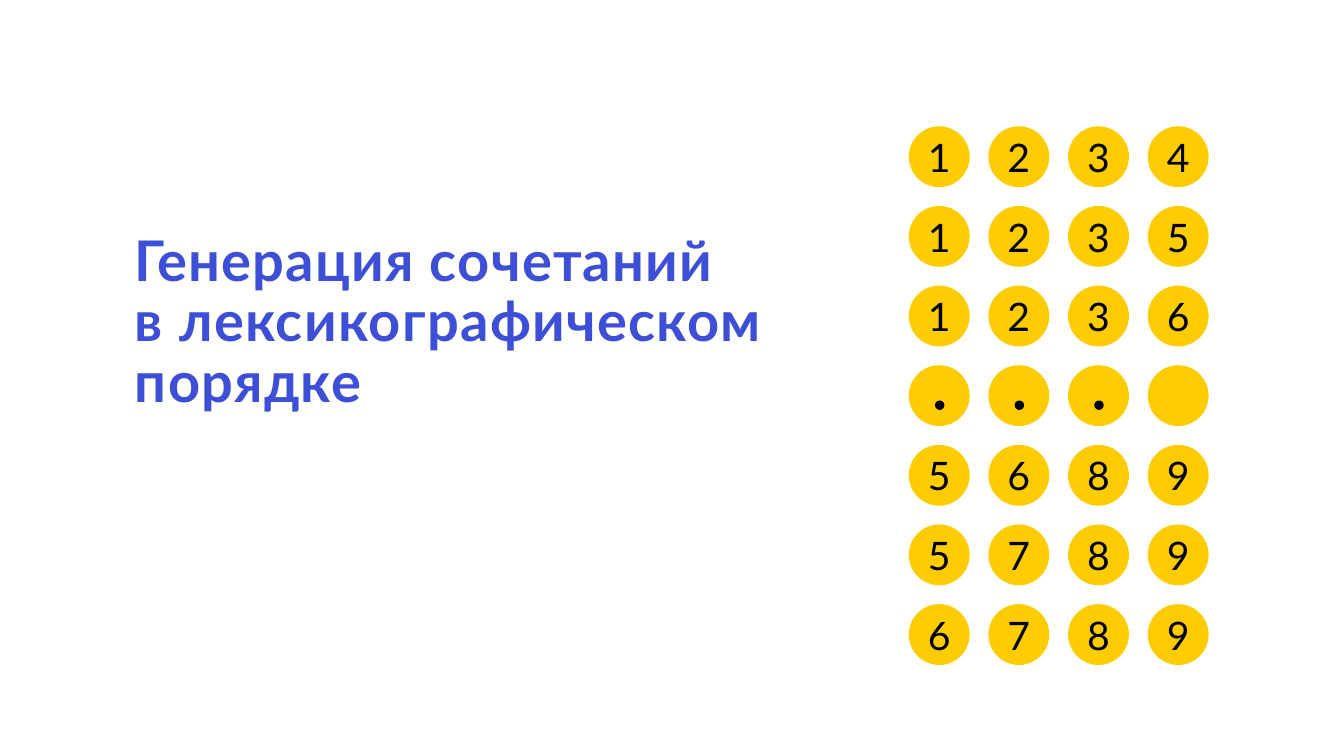
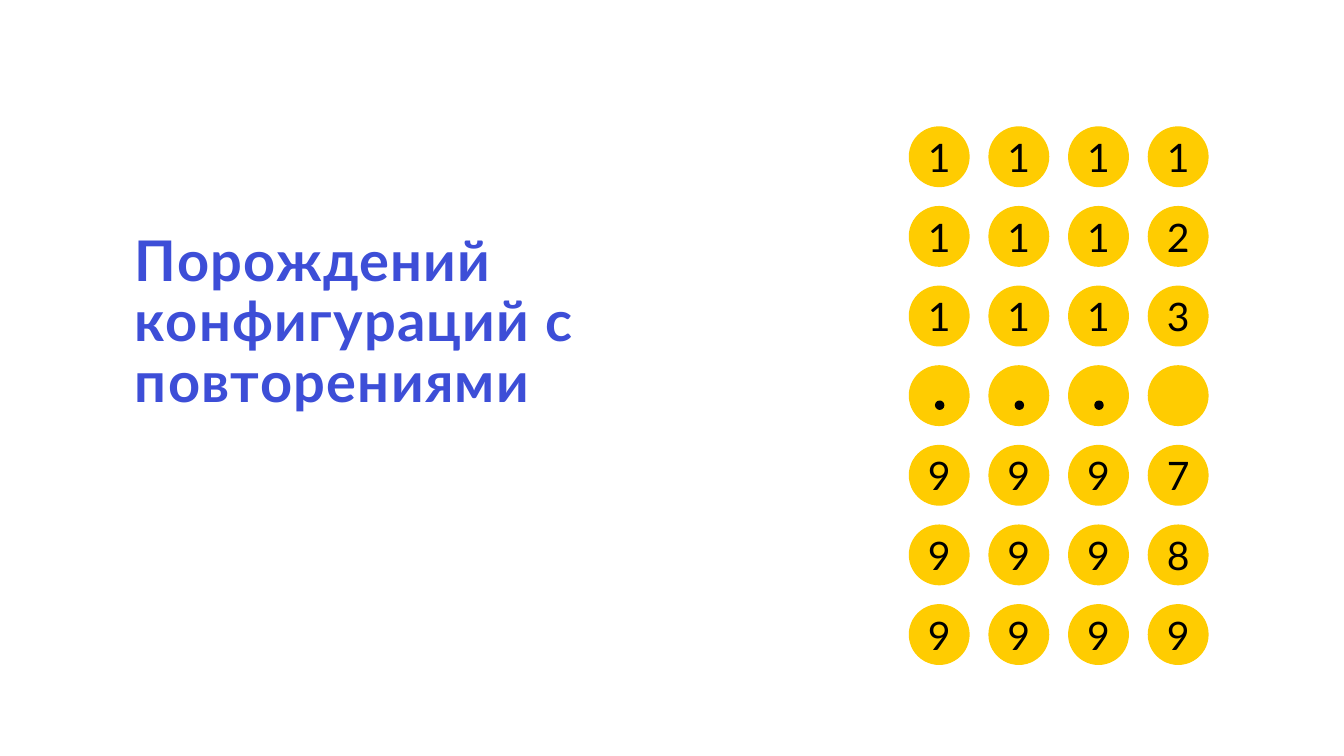
import pptx
import pptx.dml.color
import pptx.enum.shapes
import pptx.enum.text
import pptx.oxml.ns
import pptx.util

Inches = pptx.util.Inches
Pt = pptx.util.Pt

BLUE = pptx.dml.color.RGBColor(0x3D, 0x4E, 0xD7)
YELLOW = pptx.dml.color.RGBColor(0xFF, 0xCC, 0x01)
BLACK = pptx.dml.color.RGBColor(0x00, 0x00, 0x00)

DOT = "."
SLIDES = [
    (
        ["Генерация сочетаний", "в лексикографическом порядке"],
        ["1234", "1235", "1236", "... ", "5689", "5789", "6789"],
    ),
    (
        ["Порождений конфигураций с повторениями"],
        ["1111", "1112", "1113", "... ", "9997", "9998", "9999"],
    ),
]


class Deck:
    font_name = "Lato"
    title_size = Pt(40)
    digit_size = Pt(28)
    grid_left = 9.02
    grid_top = 1.26
    pitch = 0.79
    ball_size = 0.59
    dot_size = 0.08
    dot_left = 0.26
    dot_top = 0.35

    def __init__(self):
        self.presentation = pptx.Presentation()
        self.presentation.slide_width = Inches(13.33)
        self.presentation.slide_height = Inches(7.5)
        self.slide = None

    def add_slide(self):
        self.slide = self.presentation.slides.add_slide(self.presentation.slide_layouts[6])

    def style_font(self, font, size, color, bold=False):
        font.name = self.font_name
        font.size = size
        font.bold = bold
        font.color.rgb = color

    def add_title(self, lines):
        box = self.slide.shapes.add_textbox(Inches(1.24), Inches(2.26), Inches(6.6), Inches(2.15))
        frame = box.text_frame
        frame.word_wrap = True
        frame.text = "\n".join(lines)
        for paragraph in frame.paragraphs:
            paragraph.line_spacing = 0.9
            self.style_font(paragraph.font, self.title_size, BLUE, bold=True)
        for properties in box.element.iter(pptx.oxml.ns.qn("a:defRPr")):
            properties.set("spc", "100")

    def add_circle(self, shapes, left, top, size, color):
        circle = shapes.add_shape(
            pptx.enum.shapes.MSO_SHAPE.OVAL, Inches(left), Inches(top), Inches(size), Inches(size)
        )
        circle.shadow.inherit = False
        circle.fill.solid()
        circle.fill.fore_color.rgb = color
        circle.line.color.rgb = color
        circle.line.width = Pt(1)
        return circle

    def add_digit(self, ball, digit):
        frame = ball.text_frame
        frame.margin_left = frame.margin_right = frame.margin_top = frame.margin_bottom = 0
        frame.vertical_anchor = pptx.enum.text.MSO_ANCHOR.MIDDLE
        paragraph = frame.paragraphs[0]
        paragraph.text = digit
        paragraph.alignment = pptx.enum.text.PP_ALIGN.CENTER
        self.style_font(paragraph.font, self.digit_size, BLACK)

    def add_ball_grid(self, rows):
        shapes = self.slide.shapes.add_group_shape().shapes
        for row_index, row in enumerate(rows):
            top = self.grid_top + row_index * self.pitch
            for column_index, symbol in enumerate(row):
                left = self.grid_left + column_index * self.pitch
                ball = self.add_circle(shapes, left, top, self.ball_size, YELLOW)
                if symbol == DOT:
                    self.add_circle(
                        shapes, left + self.dot_left, top + self.dot_top, self.dot_size, BLACK
                    )
                elif symbol.isdigit():
                    self.add_digit(ball, symbol)


def main():
    deck = Deck()
    for title_lines, rows in SLIDES:
        deck.add_slide()
        deck.add_title(title_lines)
        deck.add_ball_grid(rows)
    deck.presentation.save("out.pptx")


if __name__ == "__main__":
    main()
